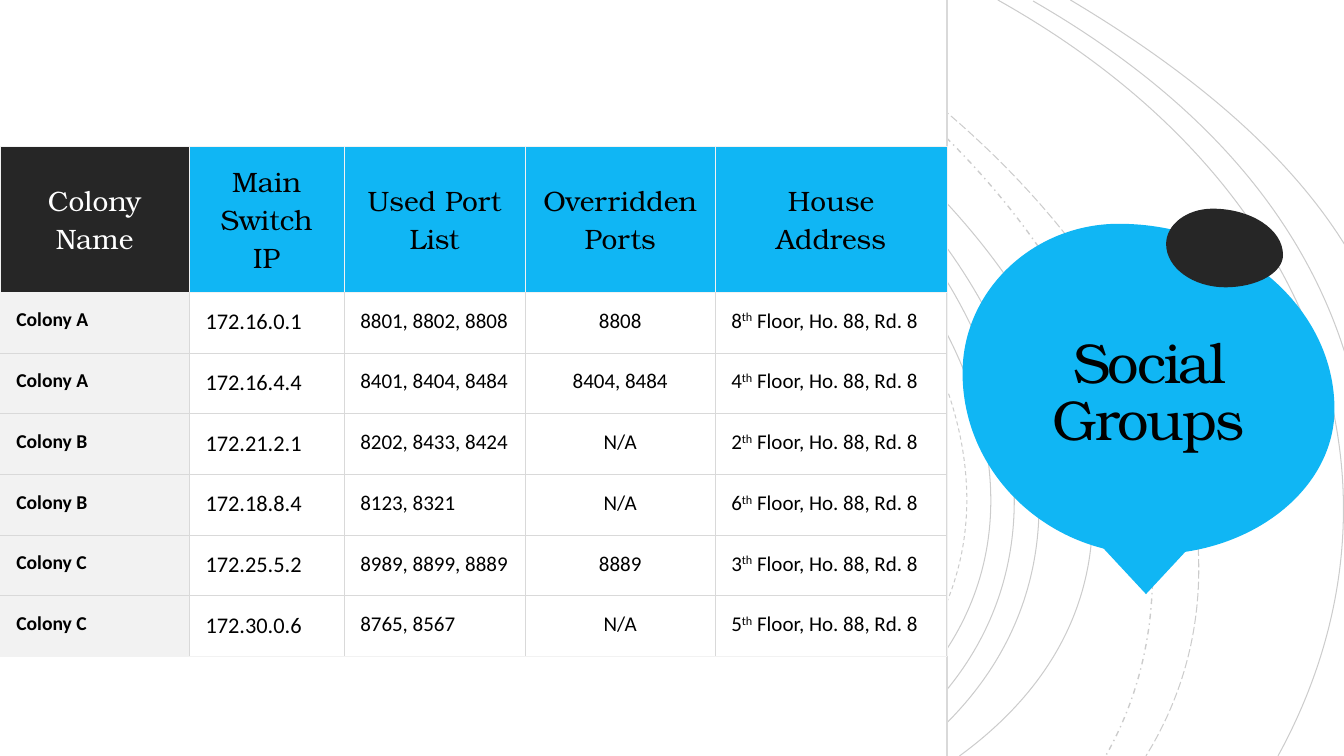
from lxml.etree import SubElement
from pptx import Presentation
from pptx.dml.color import RGBColor
from pptx.enum.dml import MSO_LINE_DASH_STYLE as Dash
from pptx.enum.shapes import MSO_CONNECTOR as Connector, MSO_SHAPE as Shape
from pptx.enum.text import MSO_ANCHOR as Anchor, MSO_AUTO_SIZE as AutoSize, PP_ALIGN as Align
from pptx.oxml.ns import qn
from pptx.util import Cm, Pt

BLUE, DARK, BLACK, WHITE = "10B6F4", "262626", "000000", "FFFFFF"
PALE, GREY = "F2F2F2", "D9D9D9"
SERIF, SANS = "TeX Gyre Bonum", "Calibri"
INCH = 2.54  # centimetres
ROUNDNESS = 0.55  # handle length that makes a Bezier a quarter ellipse


def color(hex_string):
    return RGBColor.from_string(hex_string)


def add_curve(points, closed):
    """Draw Bezier curves: a start, then two handles and an end each, in inches."""
    spots = [(Cm(x * INCH), Cm(y * INCH)) for x, y in points]
    builder = slide.shapes.build_freeform(*spots[0])
    builder.add_line_segments(spots[1:], close=closed)
    curve = builder.convert_to_shape()
    curve.shadow.inherit = False
    # Merge every three straight segments into one Bezier segment
    segments = list(curve._element.iter(qn("a:lnTo")))
    track = segments[0].getparent()
    for first in range(0, len(segments), 3):
        bezier = SubElement(track, qn("a:cubicBezTo"))
        segments[first].addprevious(bezier)
        for segment in segments[first:first + 3]:
            bezier.append(segment[0])
            track.remove(segment)
    return curve


deck = Presentation()
deck.slide_width, deck.slide_height = Cm(33.87), Cm(19.05)
slide = deck.slides.add_slide(deck.slide_layouts[5])

# Background arcs: start, two handles, end, dash
arcs = [
    ((4.35, 0), (8.35, 1.15), (11.09, 5.41), (7.48, 7.5), Dash.SOLID),
    ((5, 0), (8.83, 1.25), (11.41, 5.39), (8.01, 7.5), Dash.DASH),
    ((5.3, 0), (9.07, 1.28), (11.62, 5.38), (8.28, 7.5), Dash.SOLID),
    ((5.96, 0), (9.48, 1.33), (11.62, 5.42), (8.68, 7.5), Dash.SOLID),
    ((6.18, 0), (9.69, 1.38), (11.82, 5.34), (9.02, 7.5), Dash.SOLID),
    ((6.55, 0), (9.9, 1.47), (12.53, 5.3), (9.52, 7.5), Dash.SOLID),
    ((7.58, 0), (10.56, 1.67), (12.33, 5.1), (10.97, 7.5), Dash.DASH_DOT),
    ((7.77, 0), (10.86, 1.69), (12.91, 5), (11.37, 7.5), Dash.LONG_DASH),
    ((9.9, 0), (13.2, 1.85), (14.1, 4.91), (12.68, 7.5), Dash.SOLID),
    ((10.25, 0.01), (11.9, 0.96), (12.92, 2.14), (13.35, 3.52), Dash.SOLID),
    ((10.62, 0), (11.78, 0.69), (12.77, 1.5), (13.35, 2.44), Dash.SOLID),
]
for *points, dash in arcs:
    arc = add_curve(points, closed=False)
    arc.fill.background()
    arc.line.color.rgb = color(BLACK)
    arc.line.width = Pt(1 if dash == Dash.DASH_DOT else 0.75)
    arc.line.dash_style = dash
    for tint in arc.line._ln.iter(qn("a:srgbClr")):
        SubElement(tint, qn("a:alpha"), val="20000")

# Bubble and spot: four quarter ellipses join the left, top, right and bottom extremes
blob_extremes = [
    [(9.55, 3.7), (11.1, 2.22), (13.24, 4.06), (11.42, 5.5)],
    [(11.57, 2.42), (12.03, 2.07), (12.73, 2.53), (12.16, 2.85)],
]
blobs = []
for extremes in blob_extremes:
    outline = [extremes[0]]
    for quarter, (x, y) in enumerate(extremes):
        end_x, end_y = extremes[(quarter + 1) % 4]
        across, down = ROUNDNESS * (end_x - x), ROUNDNESS * (end_y - y)
        if quarter % 2 == 0:  # leaves a side extreme vertically
            handles = [(x, y + down), (end_x - across, end_y)]
        else:  # leaves the top or bottom horizontally
            handles = [(x + across, y), (end_x, end_y - down)]
        outline += handles + [(end_x, end_y)]
    blobs.append(add_curve(outline, closed=True))
bubble, spot = blobs

# Bubble tail, and the white panel with its edge
tail = slide.shapes.add_shape(Shape.ISOSCELES_TRIANGLE, Cm(26.49), Cm(12.4), Cm(4.78), Cm(2.57))
tail.rotation = 180
panel_width = Cm(23.87)
panel = slide.shapes.add_shape(Shape.RECTANGLE, 0, 0, panel_width, deck.slide_height)
edge = slide.shapes.add_connector(Connector.STRAIGHT, panel_width, 0, panel_width, deck.slide_height)
edge.line.color.rgb = color(GREY)
edge.line.width = Pt(1.5)
SubElement(edge._element.spPr, qn("a:effectLst"))
for shape, fill in ((bubble, BLUE), (tail, BLUE), (panel, WHITE), (spot, DARK)):
    shape.shadow.inherit = False
    shape.fill.solid()
    shape.fill.fore_color.rgb = color(fill)
    shape.line.fill.background()

# Title, brought in front of the bubble
title = slide.shapes.title
slide.shapes._spTree.append(title._element)
title.left, title.top, title.width, title.height = Cm(24.87), Cm(6.53), Cm(8.15), Cm(6.83)
frame = title.text_frame
frame.word_wrap = True
frame.auto_size = AutoSize.NONE
frame.vertical_anchor = Anchor.MIDDLE
frame.margin_left = frame.margin_right = frame.margin_top = frame.margin_bottom = Cm(0.64)
para = frame.paragraphs[0]
para.alignment = Align.CENTER
para.line_spacing = 0.85
span = para.add_run()
span.text = "Social Groups"
span.font.name, span.font.size = SERIF, Pt(40)
span.font.color.rgb = color(BLACK)
span.font._element.set("spc", "-150")

# Table contents: each cell is a list of paragraphs, each paragraph a list of runs
headings = [["Colony", "Name"], ["Main", "Switch IP"], ["Used Port List"],
            ["Overridden", "Ports"], ["House", "Address"]]
colonies = [
    ("Colony A", "172.16.0.1", "8801, 8802, 8808", "8808", "8"),
    ("Colony A", "172.16.4.4", "8401, 8404, 8484", "8404, 8484", "4"),
    ("Colony B", "172.21.2.1", "8202, 8433, 8424", "N/A", "2"),
    ("Colony B", "172.18.8.4", "8123, 8321", "N/A", "6"),
    ("Colony C", "172.25.5.2", "8989, 8899, 8889", "8889", "3"),
    ("Colony C", "172.30.0.6", "8765, 8567", "N/A", "5"),
]
rows = [[[[line] for line in heading] for heading in headings]]
for *values, floor in colonies:
    rows.append([[[value]] for value in values] + [[[floor, "th", " Floor, Ho. 88, Rd. 8"]]])

column_widths = [4.77, 3.9, 4.57, 4.78, 5.85]
body_sizes = [14, 16, 15, 15, 15]
name_column, overridden_column, address_column = 0, 3, 4
last_row = len(rows) - 1

table = slide.shapes.add_table(len(rows), len(headings), 0, Cm(3.69), panel_width, Cm(12.84)).table
table.first_row = table.horz_banding = False
for column, width in zip(table.columns, column_widths):
    column.width = Cm(width)
for r, row in enumerate(rows):
    header = r == 0
    table.rows[r].height = Cm(3.66 if header else 1.53)
    for c, paragraphs in enumerate(row):
        named = c == name_column
        cell = table.cell(r, c)
        cell.margin_left = cell.margin_right = cell.margin_top = cell.margin_bottom = Cm(0.41)
        cell.vertical_anchor = Anchor.MIDDLE if header else Anchor.TOP

        # Borders are pale around the header and the table's rim, grey inside
        pale_sides = {"a:lnL": named, "a:lnR": c == address_column,
                      "a:lnT": r == 1, "a:lnB": r == last_row}
        for side, pale in pale_sides.items():
            border = SubElement(cell._tc.get_or_add_tcPr(), qn(side), w=str(Pt(0.25)))
            paint = SubElement(border, qn("a:solidFill"))
            SubElement(paint, qn("a:srgbClr"), val=PALE if header or pale else GREY)
        if header or named:
            cell.fill.solid()
            cell.fill.fore_color.rgb = color(PALE if not header else DARK if named else BLUE)
        else:
            cell.fill.background()

        for p, texts in enumerate(paragraphs):
            para = cell.text_frame.paragraphs[0] if p == 0 else cell.text_frame.add_paragraph()
            para.alignment = Align.CENTER if header or c == overridden_column else Align.LEFT
            for text in texts:
                span = para.add_run()
                span.text = text
                span.font.name = SERIF if header else SANS
                span.font.size = Pt(20 if header else body_sizes[c])
                span.font.bold = named and not header
                span.font.color.rgb = color(WHITE if header and named else BLACK)
                if text == "th":
                    span.font._element.set("baseline", "30000")

deck.save("out.pptx")
